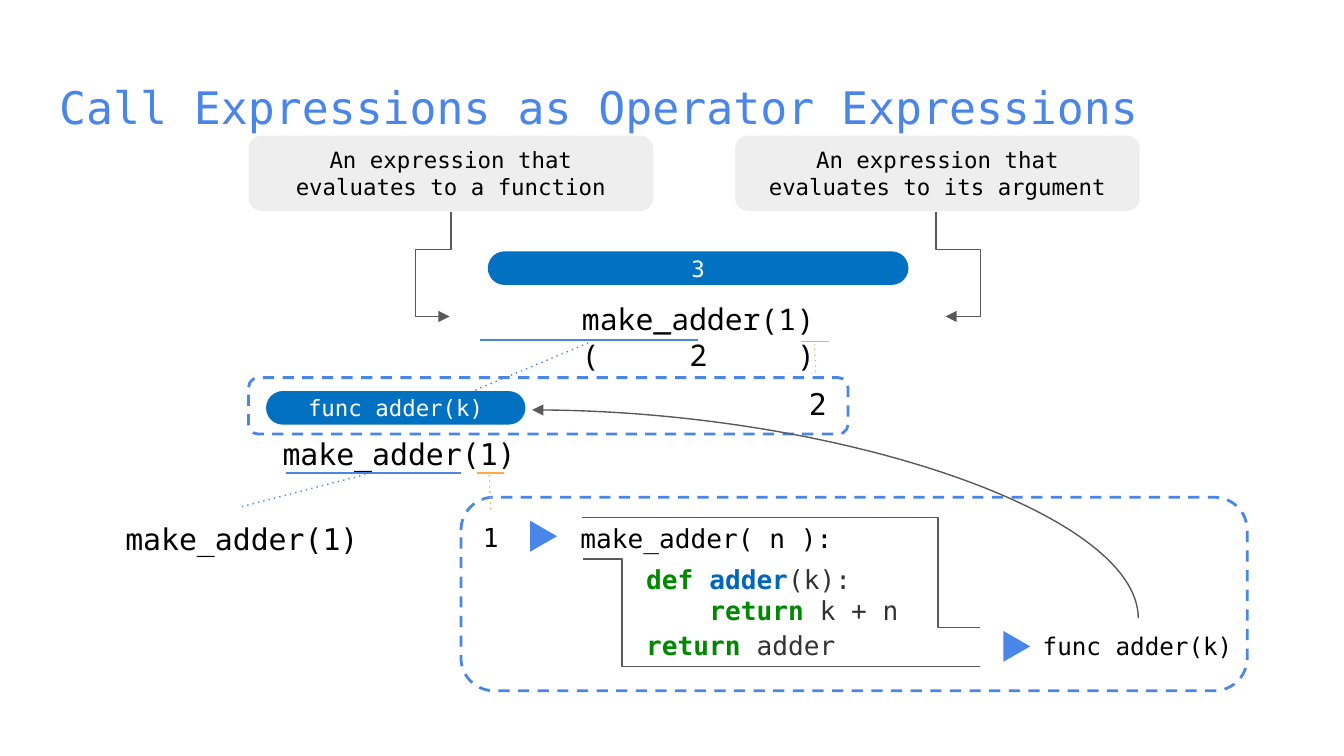
from lxml import etree
from pptx import Presentation
from pptx.dml.color import RGBColor
from pptx.enum.shapes import MSO_CONNECTOR, MSO_SHAPE
from pptx.enum.text import MSO_ANCHOR, MSO_AUTO_SIZE, PP_ALIGN
from pptx.oxml.ns import qn
from pptx.util import Emu, Pt

PX = 9144  # 100 px to the inch
SLIDE_WIDTH = 1000
ROUNDED, TRIANGLE = MSO_SHAPE.ROUNDED_RECTANGLE, MSO_SHAPE.ISOSCELES_TRIANGLE
STRAIGHT, ELBOW = MSO_CONNECTOR.STRAIGHT, MSO_CONNECTOR.ELBOW
LEFT, CENTER, RIGHT = PP_ALIGN.LEFT, PP_ALIGN.CENTER, PP_ALIGN.RIGHT
TOP, MIDDLE = MSO_ANCHOR.TOP, MSO_ANCHOR.MIDDLE

MONO, NOTO = "DejaVu Sans Mono", "Noto Sans Mono"
BLUE, PILL_BLUE, ORANGE = "4A86E8", "0371C1", "FFAB40"
BLACK, WHITE, GRAY, PALE = "000000", "FFFFFF", "595959", "EEEEEE"
GREEN, NAME_BLUE, CODE_GRAY = "008800", "0066BB", "333333"

# Content: boxes are left, top, width, height in px
TITLE = ("Call Expressions as Operator Expressions", (34, 49, 932, 63))
FRAMES = [(185, 281, 446, 42), (343, 370, 585, 144)]
# text, box, corner, fill, text colour
PANELS = [
    ("3", (363, 187, 313, 25), 0.5, PILL_BLUE, WHITE),
    ("func adder(k)", (198, 291, 193, 25), 0.5, PILL_BLUE, WHITE),
    ("An expression that evaluates to a function", (185, 101, 301, 56), 0.17, PALE, BLACK),
    ("An expression that evaluates to its argument", (547, 101, 301, 56), 0.17, PALE, BLACK),
]
CALL = ("make_adder(1) (\t2\t)", (335, 214, 369, 42))
CALL_INSETS, CALL_TABS = (98, 90), (80, 160)
# text, box, size, alignment, anchor
LABELS = [
    ("make_adder(1)", (185, 314, 224, 47), 16, CENTER, MIDDLE),
    ("make_adder(1)", (68, 377, 224, 47), 16, CENTER, MIDDLE),
    ("2", (592, 277, 31, 47), 16, CENTER, MIDDLE),
    ("1", (335, 378, 46, 43), 14, RIGHT, TOP),
    ("make_adder( n ):", (422, 379, 215, 40), 14, LEFT, TOP),
    ("func adder(k)", (766, 460, 162, 43), 13, LEFT, TOP),
]
CODE_BOX = (471, 409, 216, 72)
# indent, line spacing, runs of text and colour (keywords and names are bold)
CODE = [
    (0, 1.0, [("def ", GREEN), ("adder", NAME_BLUE), ("(k):", CODE_GRAY)]),
    (47, 1.0, [("return", GREEN), (" k + n", CODE_GRAY)]),
    (0, 1.11, [("return", GREEN), (" adder", CODE_GRAY)]),
]
TRIANGLES = [(393, 389, 23, 20), (745, 471, 23, 20)]
# start and end points, colour, dash
RULES = [
    ((357, 253, 519, 253), BLUE, None),
    ((297, 314, 438, 255), BLUE, "dot"),
    ((596, 254, 617, 254), ORANGE, None),
    ((607, 277, 606, 256), ORANGE, "dot"),
    ((213, 352, 343, 352), BLUE, None),
    ((180, 377, 272, 353), BLUE, "dot"),
    ((355, 352, 375, 352), ORANGE, None),
    ((365, 379, 364, 352), ORANGE, "dot"),
]
# preset, unrotated box, rotation, mirrored, bend offsets along width and height, arrowhead
ROUTES = [
    ("bentConnector3", (433, 385, 296, 82), 0, False, [265], False),
    ("bentConnector3", (434, 416, 295, 80), 0, False, [29], False),
    ("curvedConnector2", (544, 157, 155, 451), 90, True, [], True),
    ("bentConnector4", (296, 196, 78, 1), 90, False, [28, 27], True),
    ("bentConnector4", (661, 193, 78, 7), 270, True, [28, 33], True),
]


def emu(values):
    return [Emu(value * PX) for value in values]


def color(value):
    return RGBColor.from_string(value)


def add_xml(parent, tag, **attributes):
    return etree.SubElement(parent, qn(tag), attributes)


def style_run(run, size, hue, font=MONO, bold=False):
    for name, value in {"size": Pt(size), "name": font, "bold": bold}.items():
        setattr(run.font, name, value)
    run.font.color.rgb = color(hue)


def set_frame(frame, anchor, side_insets=(10, 10)):
    left, right, edge = emu((*side_insets, 10))
    formats = {"word_wrap": True, "auto_size": MSO_AUTO_SIZE.NONE, "vertical_anchor": anchor,
               "margin_left": left, "margin_right": right,
               "margin_top": edge, "margin_bottom": edge}
    for name, value in formats.items():
        setattr(frame, name, value)


def write(shape, text, size, hue, align, anchor, font=MONO, side_insets=(10, 10)):
    set_frame(shape.text_frame, anchor, side_insets)
    paragraph = shape.text_frame.paragraphs[0]
    paragraph.alignment = align
    run = paragraph.add_run()
    run.text = text
    style_run(run, size, hue, font)
    return paragraph


def style_line(line, hue, width, dash=None):
    line.color.rgb = color(hue)
    line.width = Pt(width)
    if dash:
        add_xml(line._get_or_add_ln(), "a:prstDash", val=dash)


def add_filled(slide, preset, box, fill, corner=None):
    shape = slide.shapes.add_shape(preset, *emu(box))
    shape.shadow.inherit = False
    if corner:
        shape.adjustments[0] = corner
    if fill:
        shape.fill.solid()
        shape.fill.fore_color.rgb = color(fill)
        shape.line.fill.background()
    else:
        shape.fill.background()
    return shape


def add_line(slide, kind, ends, hue, dash=None):
    connector = slide.shapes.add_connector(kind, *emu(ends))
    style_line(connector.line, hue, 0.75, dash)
    add_xml(connector._element.spPr, "a:effectLst")
    return connector


def add_route(slide, preset, box, rotation, mirrored, bends, arrow):
    left, top, width, height = box
    connector = add_line(slide, ELBOW, (left, top, left + width, top + height), GRAY)
    properties = connector._element.spPr
    transform = properties.find(qn("a:xfrm"))
    transform.set("rot", str(rotation * 60000))
    transform.set("flipH", str(int(mirrored)))
    geometry = properties.find(qn("a:prstGeom"))
    geometry.set("prst", preset)
    guides = geometry.find(qn("a:avLst"))
    for number, (bend, extent) in enumerate(zip(bends, (width, height)), 1):
        add_xml(guides, "a:gd", name=f"adj{number}", fmla=f"val {bend * 100000 // extent}")
    if arrow:
        add_xml(connector.line._get_or_add_ln(), "a:tailEnd", type="triangle")


def add_code(slide):
    frame = slide.shapes.add_textbox(*emu(CODE_BOX)).text_frame
    set_frame(frame, TOP)
    for index, (indent, spacing, runs) in enumerate(CODE):
        paragraph = frame.add_paragraph() if index else frame.paragraphs[0]
        paragraph.line_spacing = spacing
        paragraph._p.get_or_add_pPr().set("marL", str(indent * PX))
        for text, hue in runs:
            run = paragraph.add_run()
            run.text = text
            style_run(run, 14, hue, bold=hue != CODE_GRAY)


def main():
    presentation = Presentation()
    presentation.slide_width = Emu(SLIDE_WIDTH * PX)
    presentation.slide_height = Emu(SLIDE_WIDTH * PX * 9 // 16)
    slide = presentation.slides.add_slide(presentation.slide_layouts[5])

    # Title
    text, box = TITLE
    title = slide.shapes.title
    title.left, title.top, title.width, title.height = emu(box)
    write(title, text, 24, BLUE, LEFT, TOP)

    # Dashed frames
    for box in FRAMES:
        frame = add_filled(slide, ROUNDED, box, None, 0.17)
        style_line(frame.line, BLUE, 1.5, "dash")

    # Underlines and dotted links, behind the panels
    for ends, hue, dash in RULES:
        add_line(slide, STRAIGHT, ends, hue, dash)

    # Filled panels and triangles
    for text, box, corner, fill, hue in PANELS:
        panel = add_filled(slide, ROUNDED, box, fill, corner)
        write(panel, text, 12, hue, CENTER, MIDDLE)
    for box in TRIANGLES:
        add_filled(slide, TRIANGLE, box, BLUE).rotation = 90

    # Call expression, its argument spaced by tab stops
    text, box = CALL
    call = write(slide.shapes.add_textbox(*emu(box)), text, 16, BLACK, LEFT, TOP, NOTO, CALL_INSETS)
    stops = add_xml(call._p.get_or_add_pPr(), "a:tabLst")
    for position in CALL_TABS:
        add_xml(stops, "a:tab", pos=str(position * PX), algn="l")

    # Labels and code
    for text, box, size, align, anchor in LABELS:
        write(slide.shapes.add_textbox(*emu(box)), text, size, BLACK, align, anchor)
    add_code(slide)

    # Routed connectors
    for route in ROUTES:
        add_route(slide, *route)

    presentation.save("out.pptx")


if __name__ == "__main__":
    main()
